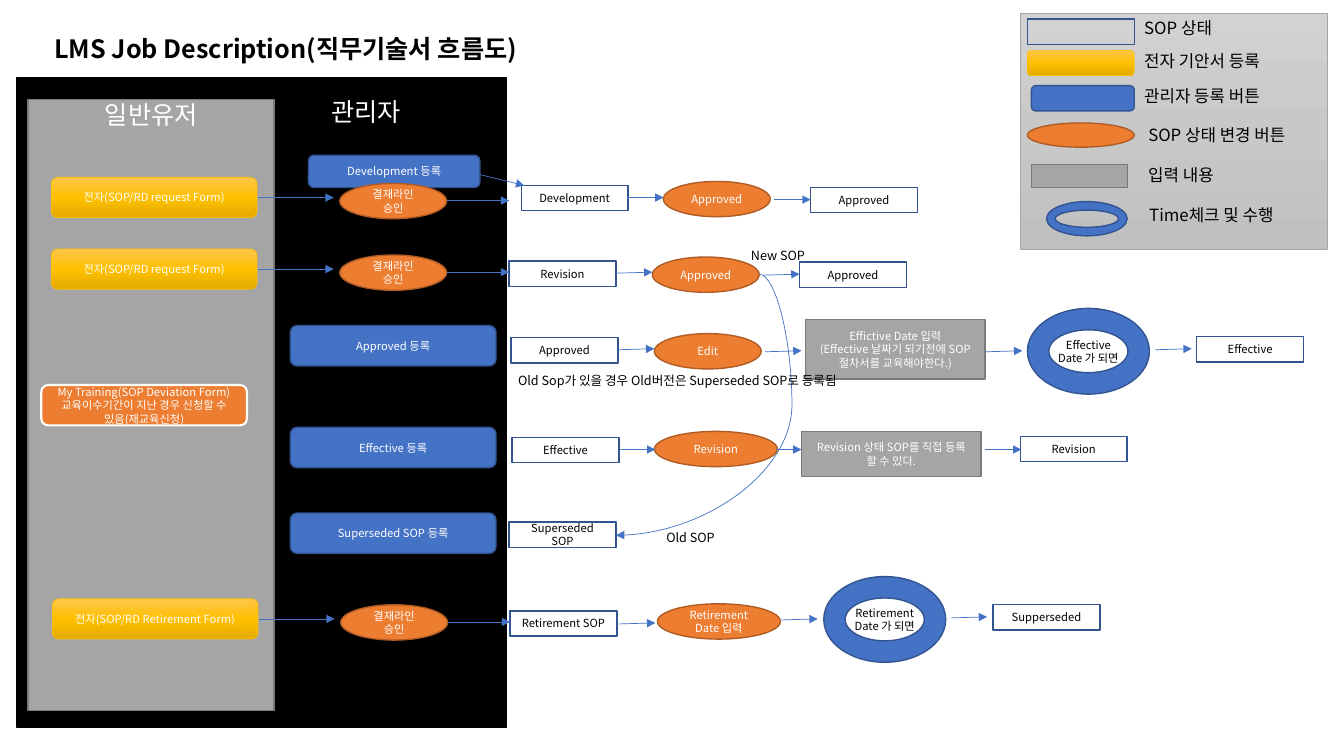
import copy
from dataclasses import dataclass

import pptx
import pptx.dml.color
import pptx.enum.dml
import pptx.enum.shapes
import pptx.enum.text
import pptx.oxml
import pptx.oxml.ns
import pptx.util
from lxml import etree

Inches = pptx.util.Inches
Pt = pptx.util.Pt
RGBColor = pptx.dml.color.RGBColor
Preset = pptx.enum.shapes.MSO_SHAPE
Connector = pptx.enum.shapes.MSO_CONNECTOR
Anchor = pptx.enum.text.MSO_ANCHOR
Align = pptx.enum.text.PP_ALIGN
qn = pptx.oxml.ns.qn

FONT = "Noto Sans CJK KR"
BLACK = RGBColor(0x00, 0x00, 0x00)
WHITE = RGBColor(0xFF, 0xFF, 0xFF)
BLUE = RGBColor(0x44, 0x72, 0xC4)
NAVY = RGBColor(0x32, 0x54, 0x91)
ORANGE = RGBColor(0xED, 0x7D, 0x31)
RUST = RGBColor(0xAF, 0x5C, 0x24)
GRAY = RGBColor(0xA5, 0xA5, 0xA5)
DARK_GRAY = RGBColor(0x7A, 0x7A, 0x7A)
GOLD = RGBColor(0xFF, 0xC0, 0x00)
GOLD_SHADES = (RGBColor(0xFF, 0xC6, 0x4B), GOLD, RGBColor(0xE3, 0xAB, 0x00))
SILVER_SHADES = (RGBColor(0xD2, 0xD2, 0xD2), RGBColor(0xC8, 0xC8, 0xC8),
                 RGBColor(0xC0, 0xC0, 0xC0))


@dataclass(frozen=True)
class Look:
    """Appearance and usual size; fill holds no colour, one, or gradient shades."""
    preset: Preset
    fill: tuple[RGBColor, ...]
    border: RGBColor
    width: float
    height: float
    weight: float = 1
    ink: RGBColor = WHITE


@dataclass(frozen=True)
class Node:
    look: Look
    left: float
    top: float
    words: str = ""
    width: float | None = None
    height: float | None = None


@dataclass(frozen=True)
class Arrow:
    left: float
    top: float
    run: float = 0.36
    drop: float = -0.01


@dataclass(frozen=True)
class Label:
    left: float
    top: float
    width: float
    words: str
    size: float
    bold: bool = False
    wrap: bool = False


STATE = Look(Preset.RECTANGLE, (), NAVY, 1.06, 0.25, ink=BLACK)
DRAFT = Look(Preset.ROUNDED_RECTANGLE, GOLD_SHADES, GOLD, 2.04, 0.4, 0.5)
REGISTER = Look(Preset.ROUNDED_RECTANGLE, (BLUE,), NAVY, 2.04, 0.4)
CHANGE = Look(Preset.OVAL, (ORANGE,), RUST, 1.06, 0.35)
INPUT = Look(Preset.FLOWCHART_PROCESS, (GRAY,), DARK_GRAY, 1.78, 0.45)
TIMER = Look(Preset.DONUT, (BLUE,), NAVY, 1.21, 0.85, ink=BLACK)
TRAINING = Look(Preset.ROUNDED_RECTANGLE, (ORANGE,), WHITE, 2.04, 0.4, 1.5)
LEGEND = Look(Preset.RECTANGLE, SILVER_SHADES, GRAY, 3.05, 2.34, 0.5)
ADMIN_PANEL = Look(Preset.RECTANGLE, (BLACK,), BLACK, 4.85, 6.45)
USER_PANEL = Look(Preset.RECTANGLE, (GRAY,), DARK_GRAY, 2.44, 6.06)

REQUESTS = [(0.51, 1.76, "전자(SOP/RD request Form)"),
            (0.51, 2.47, "전자(SOP/RD request Form)"),
            (0.52, 5.94, "전자(SOP/RD Retirement Form)")]

NODES = [
    Node(REGISTER, 3.06, 1.54, "Development 등록", 1.7, 0.32),
    Node(STATE, 5.17, 1.84, "Development"),
    Node(CHANGE, 6.58, 1.8, "Approved"),
    Node(STATE, 8.04, 1.86, "Approved"),
    Node(STATE, 5.05, 2.59, "Revision"),
    Node(CHANGE, 6.47, 2.55, "Approved"),
    Node(STATE, 7.93, 2.6, "Approved"),
    Node(REGISTER, 2.88, 3.23, "Approved 등록"),
    Node(STATE, 5.07, 3.35, "Approved"),
    Node(CHANGE, 6.49, 3.31, "Edit"),
    Node(INPUT, 7.99, 3.17,
         "Effictive Date 입력\n(Effective 날짜기 되기전에 SOP절차서를 교육해야한다.)", height=0.59),
    Node(TIMER, 10.19, 3.06, "Effective Date 가 되면"),
    Node(STATE, 11.87, 3.34, "Effective"),
    Node(REGISTER, 2.88, 4.24, "Effective 등록"),
    Node(STATE, 5.08, 4.34, "Effective"),
    Node(CHANGE, 6.49, 4.28, "Revision", 1.22),
    Node(INPUT, 7.95, 4.28, "Revision 상태 SOP를 직접 등록 할 수 있다."),
    Node(STATE, 10.12, 4.33, "Revision"),
    Node(REGISTER, 2.88, 5.09, "Superseded SOP 등록"),
    Node(STATE, 5.05, 5.18, "Superseded SOP"),
    Node(STATE, 5.06, 6.06, "Retirement SOP"),
    Node(CHANGE, 6.52, 5.99, "Retirement Date 입력", 1.22),
    Node(TIMER, 8.17, 5.72, "Retirement Date 가 되면"),
    Node(STATE, 9.85, 6, "Supperseded"),
    Node(TRAINING, 0.41, 3.82,
         "My Training(SOP Deviation Form)\n교육이수기간이 지난 경우 신청할 수 있음(재교육신청)"),
    Node(STATE, 10.19, 0.19),
    Node(DRAFT, 10.19, 0.5, "", 1.06, 0.25),
    Node(REGISTER, 10.23, 0.85, "", 1.02, 0.25),
    Node(CHANGE, 10.19, 1.22, "", 1.06, 0.24),
    Node(INPUT, 10.23, 1.63, "", 0.95, 0.23),
    Node(TIMER, 10.38, 2, "", 0.8, 0.34),
]

ARROWS = [
    Arrow(4.75, 1.73, 0.45, 0.11),
    Arrow(6.22, 1.96, drop=0), Arrow(7.68, 1.98, drop=0),
    Arrow(6.11, 2.71), Arrow(7.57, 2.73),
    Arrow(6.13, 3.47), Arrow(7.59, 3.49), Arrow(9.78, 3.49), Arrow(11.46, 3.47),
    Arrow(6.14, 4.46, drop=0), Arrow(7.7, 4.46, 0.25, 0), Arrow(9.77, 4.46, drop=0),
    Arrow(6.14, 6.19), Arrow(7.75, 6.15), Arrow(9.43, 6.13),
]

LABELS = [
    Label(0.44, 0.28, 11.91, "LMS Job Description(직무기술서 흐름도)", 18, bold=True, wrap=True),
    Label(11.25, 0.13, 0.92, "SOP 상태", 12),
    Label(11.25, 0.45, 1.5, "전자 기안서 등록", 12),
    Label(11.25, 0.8, 1.5, "관리자 등록 버튼", 12),
    Label(11.29, 1.19, 1.71, "SOP 상태 변경 버튼", 12),
    Label(11.29, 1.59, 0.93, "입력 내용", 12),
    Label(11.3, 1.98, 1.53, "Time체크 및 수행", 12),
    Label(6.51, 5.21, 0.69, "Old SOP", 9),
    Label(7.35, 2.41, 0.74, "New SOP", 9),
    Label(5.04, 3.65, 3.56, "Old Sop가 있을 경우 Old버전은 Superseded SOP로 등록됨", 9),
]


def style_text(frame, size: float, ink: RGBColor, align: Align, bold: bool = False) -> None:
    for paragraph in frame.paragraphs:
        paragraph.alignment = align
        for run in paragraph.runs:
            run.font.size = Pt(size)
            run.font.bold = bold
            run.font.color.rgb = ink
            run.font.name = FONT
            etree.SubElement(run.font._element, qn("a:ea"), typeface=FONT)


def paint(shape, shades: tuple[RGBColor, ...]) -> None:
    if not shades:
        shape.fill.background()
    elif len(shades) == 1:
        shape.fill.solid()
        shape.fill.fore_color.rgb = shades[0]
    else:
        shape.fill.gradient()
        shape.fill.gradient_angle = 270
        stop_list = shape._element.spPr.find(".//" + qn("a:gsLst"))
        stop_list.append(copy.deepcopy(stop_list[-1]))
        for index, (stop, shade) in enumerate(zip(shape.fill.gradient_stops, shades)):
            stop.position = index / (len(shades) - 1)
            stop.color.rgb = shade


def draw_node(slide, node: Node, size: float = 8):
    look = node.look
    shape = slide.shapes.add_shape(
        look.preset, Inches(node.left), Inches(node.top),
        Inches(node.width or look.width), Inches(node.height or look.height))
    shape.shadow.inherit = False
    paint(shape, look.fill)
    shape.line.color.rgb = look.border
    shape.line.width = Pt(look.weight)
    if node.words:
        shape.text_frame.text = node.words
        shape.text_frame.vertical_anchor = Anchor.MIDDLE
        style_text(shape.text_frame, size, look.ink, Align.CENTER)
    return shape


def draw_panel(slide, panel: Node, left_inset: float, top_inset: float) -> None:
    """Draw a lane whose heading sits at its top."""
    frame = draw_node(slide, panel, 18).text_frame
    frame.vertical_anchor = Anchor.TOP
    frame.margin_left = Inches(left_inset)
    frame.margin_top = Inches(top_inset)


def draw_arrow(slide, arrow: Arrow, kind: Connector = Connector.STRAIGHT):
    connector = slide.shapes.add_connector(
        kind, Inches(arrow.left), Inches(arrow.top),
        Inches(arrow.left + arrow.run), Inches(arrow.top + arrow.drop))
    connector.line.color.rgb = BLUE
    connector.line.width = Pt(0.5)
    etree.SubElement(connector.line._get_or_add_ln(), qn("a:tailEnd"), type="triangle")
    etree.SubElement(connector._element.spPr, qn("a:effectLst"))
    return connector


def draw_old_sop_curve(slide) -> None:
    curve = draw_arrow(slide, Arrow(7.53, 2.72, -1.42, 2.59), Connector.CURVE)
    adjustments = curve._element.spPr.find(".//" + qn("a:avLst"))
    etree.SubElement(adjustments, qn("a:gd"), name="adj1", fmla="val -22900")


def draw_label(slide, label: Label) -> None:
    frame = slide.shapes.add_textbox(
        Inches(label.left), Inches(label.top), Inches(label.width),
        Inches(0.1 + label.size / 60)).text_frame
    frame.word_wrap = label.wrap
    frame.text = label.words
    style_text(frame, label.size, BLACK, Align.LEFT, label.bold)


def main() -> None:
    deck = pptx.Presentation()
    deck.slide_width, deck.slide_height = Inches(13.33), Inches(7.5)
    slide = deck.slides.add_slide(deck.slide_layouts[6])
    draw_node(slide, Node(LEGEND, 10.12, 0.13))
    draw_panel(slide, Node(ADMIN_PANEL, 0.17, 0.77, "관리자"), 2.17, 0.19)
    draw_panel(slide, Node(USER_PANEL, 0.28, 0.99, "일반유저"), 0.1, 0)
    for node in NODES:
        draw_node(slide, node)
    for left, top, form in REQUESTS:
        draw_node(slide, Node(DRAFT, left, top, form))
        draw_node(slide, Node(CHANGE, left + 2.86, top + 0.06, "결재라인 승인"))
        draw_arrow(slide, Arrow(left + 2.05, top + 0.2, 0.75, 0))
        draw_arrow(slide, Arrow(left + 3.92, top + 0.23, 0.62, 0))
    for arrow in ARROWS:
        draw_arrow(slide, arrow)
    draw_old_sop_curve(slide)
    for label in LABELS:
        draw_label(slide, label)
    deck.save("out.pptx")


if __name__ == "__main__":
    main()
